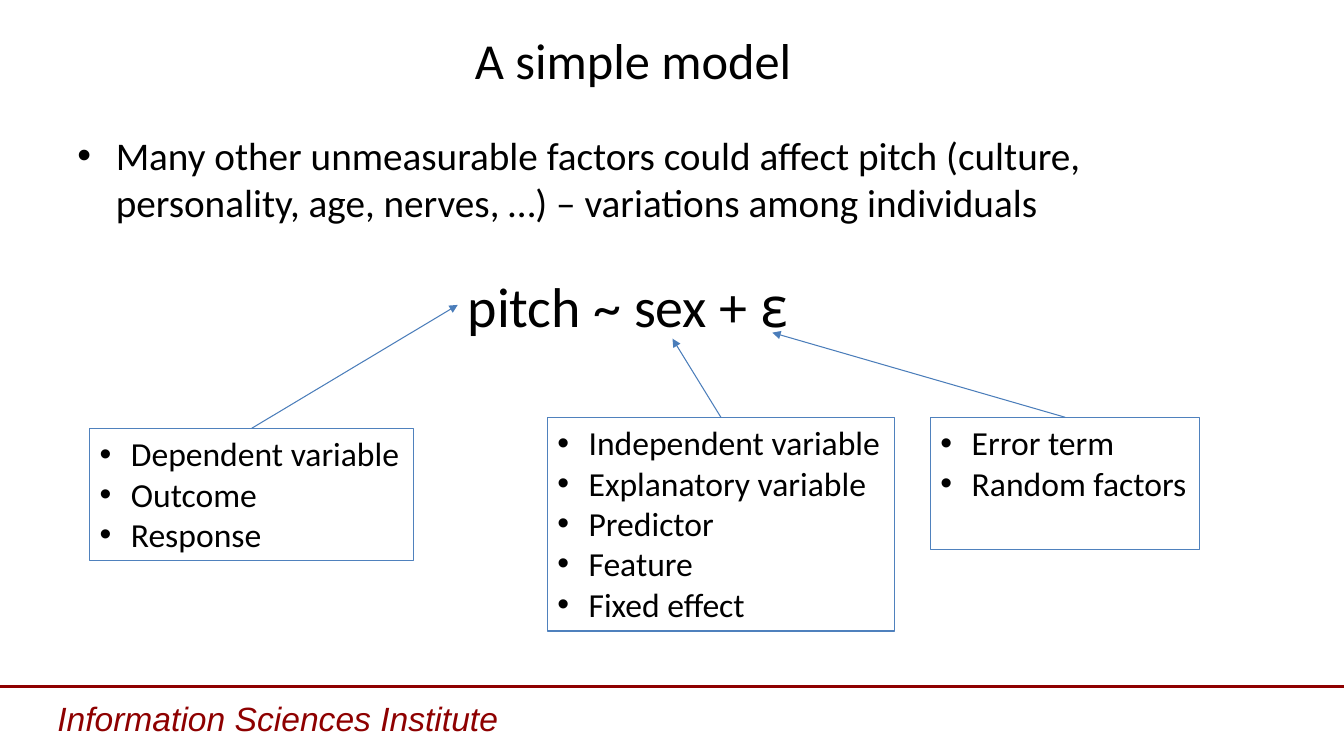
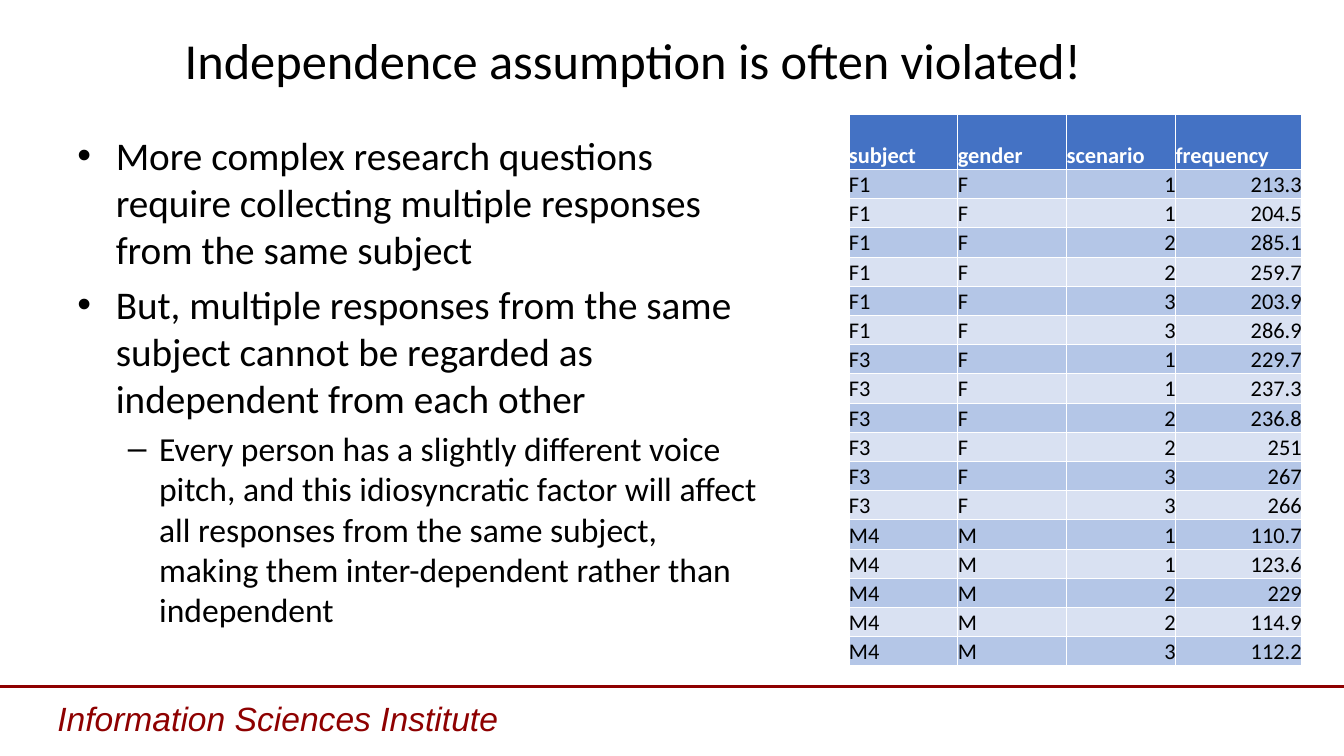
from dataclasses import dataclass

from lxml.etree import SubElement
from pptx import Presentation
from pptx.dml.color import RGBColor
from pptx.enum.shapes import MSO_CONNECTOR as Link, MSO_SHAPE as Preset
from pptx.enum.text import MSO_ANCHOR as Anchor, PP_ALIGN as Align
from pptx.oxml.ns import qn
from pptx.util import Inches, Pt


@dataclass(frozen=True)
class Theme:
    ink: str = "000000"
    white: str = "FFFFFF"
    maroon: str = "8E0000"
    frame: str = "4F81BD"
    arrow: str = "4A7DBA"
    header: str = "4472C4"
    bands: tuple = ("B4C6E7", "D9E1F2")
    font: str = "Calibri"
    footer_font: str = "Arial"
    symbol_font: str = "Noto Sans"
    title: int = 36
    formula: int = 40
    body: int = 28
    detail: int = 24
    cell: int = 16
    thin: float = 0.75
    thick: float = 2.25


THEME = Theme()
WIDTH, HEIGHT = 13.33, 7.5
MARGIN = 0.67
BODY_TOP, BODY_HEIGHT = 1.25, 5.45
RULE_Y = 6.81

FOOTER = "Information Sciences Institute"
BULLET = dict(mark="•", left=0.38, hang=0.38, size=THEME.body, before=5.6)
DASH = dict(mark="–", left=0.81, hang=0.31, size=THEME.detail, before=4.8)
TERM = dict(mark="•", left=0.31, hang=0.31, size=THEME.detail, before=0)

MODEL_TITLE = "A simple model"
MODEL_POINTS = [
    (BULLET, "Many other unmeasurable factors could affect pitch "
             "(culture, personality, age, nerves, …) – variations among individuals"),
]
FORMULA = [("pitch ~ sex + ", THEME.font), ("ε", THEME.symbol_font)]
FORMULA_AT = (4.54, 2.64, 3.41, 0.77)
TERM_BOXES = [
    ((5.43, 4.14, 3.44, 2.12), (6.67, 3.36),
     ["Independent variable", "Explanatory variable", "Predictor", "Feature", "Fixed effect"]),
    ((0.89, 4.25, 3.21, 1.31), None, ["Dependent variable", "Outcome", "Response"]),
    ((9.23, 4.14, 2.67, 1.31), (7.66, 3.3), ["Error term", "Random factors"]),
]

DATA_TITLE = "Independence assumption is often violated!"
DATA_POINTS = [
    (BULLET, "More complex research questions require collecting multiple responses "
             "from the same subject"),
    (BULLET, "But, multiple responses from the same subject cannot be regarded as "
             "independent from each other"),
    (DASH, "Every person has a slightly different voice pitch, and this idiosyncratic "
           "factor will affect all responses from the same subject, making them "
           "inter-dependent rather than independent"),
]
COLUMNS = [("subject", 1.08), ("gender", 1.08), ("scenario", 1.08), ("frequency", 1.25)]
FREQUENCIES = [
    ("F1", "F", ["213.3", "204.5", "285.1", "259.7", "203.9", "286.9"]),
    ("F3", "F", ["229.7", "237.3", "236.8", "251", "267", "266"]),
    ("M4", "M", ["110.7", "123.6", "229", "114.9", "112.2"]),
]
TRIALS_PER_SCENARIO = 2
TABLE_AT = (8.42, 1.14)
HEADER_ROW, DATA_ROW = 0.54, 0.29


def inches(values):
    return [Inches(value) for value in values]


def color(code):
    return RGBColor.from_string(code)


def add_span(para, text, size, font=THEME.font, ink=THEME.ink, bold=False, italic=False):
    span = para.add_run()
    span.text = text
    span.font.name, span.font.size = font, Pt(size)
    span.font.bold, span.font.italic = bold, italic
    span.font.color.rgb = color(ink)


def add_box(page, at, anchor=Anchor.TOP):
    box = page.shapes.add_textbox(*inches(at))
    box.text_frame.word_wrap = True
    box.text_frame.vertical_anchor = anchor
    return box


def add_list(frame, items):
    for index, (level, text) in enumerate(items):
        para = frame.add_paragraph() if index else frame.paragraphs[0]
        para.alignment = Align.LEFT
        props = para._p.get_or_add_pPr()
        props.set("marL", str(Inches(level["left"])))
        props.set("indent", str(-Inches(level["hang"])))
        SubElement(props, qn("a:buFont"), typeface="Arial")
        SubElement(props, qn("a:buChar"), char=level["mark"])
        para.space_before = Pt(level["before"] if index else 0)
        add_span(para, text, level["size"])


def add_line(page, start, end, ink, weight, arrow=False):
    line = page.shapes.add_connector(Link.STRAIGHT, *inches(start + end))
    line.line.color.rgb = color(ink)
    line.line.width = Pt(weight)
    if arrow:
        SubElement(line.line._get_or_add_ln(), qn("a:tailEnd"), type="triangle")
    SubElement(line._element.spPr, qn("a:effectLst"))
    return line


def add_page(deck, title, points, body_width):
    page = deck.slides.add_slide(deck.slide_layouts[6])
    add_line(page, (0, RULE_Y), (WIDTH, RULE_Y), THEME.maroon, THEME.thick)
    footer = add_box(page, (0.47, 6.87, 6.57, 0.51))
    add_span(footer.text_frame.paragraphs[0], FOOTER, THEME.detail,
             THEME.footer_font, THEME.maroon, italic=True)
    heading = add_box(page, (MARGIN, 0.24, 11.22, 0.7), Anchor.MIDDLE)
    para = heading.text_frame.paragraphs[0]
    para.alignment = Align.CENTER
    add_span(para, title, THEME.title)
    body = add_box(page, (MARGIN, BODY_TOP, body_width, BODY_HEIGHT))
    add_list(body.text_frame, points)
    return page


def add_term_box(page, at, terms):
    box = page.shapes.add_shape(Preset.RECTANGLE, *inches(at))
    box.shadow.inherit = False
    box.fill.background()
    box.line.color.rgb = color(THEME.frame)
    box.line.width = Pt(THEME.thin)
    box.text_frame.word_wrap = True
    box.text_frame.vertical_anchor = Anchor.TOP
    add_list(box.text_frame, [(TERM, term) for term in terms])
    return box


def add_model_page(deck):
    page = add_page(deck, MODEL_TITLE, MODEL_POINTS, 12.01)
    formula = add_box(page, FORMULA_AT)
    for text, font in FORMULA:
        add_span(formula.text_frame.paragraphs[0], text, THEME.formula, font)
    for at, target, terms in TERM_BOXES:
        box = add_term_box(page, at, terms)
        left, top, width, _ = at
        tip = target or FORMULA_AT[:2]
        arrow = add_line(page, (left + width / 2, top), tip, THEME.arrow, THEME.thin, True)
        arrow.begin_connect(box, 0)
        if target is None:
            arrow.end_connect(formula, 1)


def style_cell(cell, text, fill, ink, bold, align):
    props = cell._tc.get_or_add_tcPr()
    for side in ("lnL", "lnR", "lnT", "lnB"):
        border = SubElement(props, qn(f"a:{side}"), w=str(Pt(THEME.thin)))
        SubElement(SubElement(border, qn("a:solidFill")), qn("a:srgbClr"), val=THEME.white)
    cell.fill.solid()
    cell.fill.fore_color.rgb = color(fill)
    cell.margin_left = cell.margin_right = cell.margin_top = cell.margin_bottom = 0
    cell.vertical_anchor = Anchor.BOTTOM
    para = cell.text_frame.paragraphs[0]
    para.alignment = align
    add_span(para, text, THEME.cell, ink=ink, bold=bold)


def add_data_page(deck):
    page = add_page(deck, DATA_TITLE, DATA_POINTS, 6.96)
    names = [name for name, _ in COLUMNS]
    widths = [width for _, width in COLUMNS]
    records = [
        (subject, gender, str(trial // TRIALS_PER_SCENARIO + 1), value)
        for subject, gender, values in FREQUENCIES
        for trial, value in enumerate(values)
    ]
    heights = [HEADER_ROW] + [DATA_ROW] * len(records)
    size = (sum(widths), sum(heights))
    table = page.shapes.add_table(len(heights), len(widths), *inches(TABLE_AT + size)).table
    for column, width in zip(table.columns, widths):
        column.width = Inches(width)
    for row, height in zip(table.rows, heights):
        row.height = Inches(height)
    for index, name in enumerate(names):
        style_cell(table.cell(0, index), name, THEME.header, THEME.white, True, Align.LEFT)
    for number, record in enumerate(records):
        fill = THEME.bands[number % 2]
        for index, text in enumerate(record):
            align = Align.LEFT if index < 2 else Align.RIGHT
            style_cell(table.cell(number + 1, index), text, fill, THEME.ink, False, align)


def main():
    deck = Presentation()
    deck.slide_width, deck.slide_height = inches((WIDTH, HEIGHT))
    add_model_page(deck)
    add_data_page(deck)
    deck.save("out.pptx")


if __name__ == "__main__":
    main()
